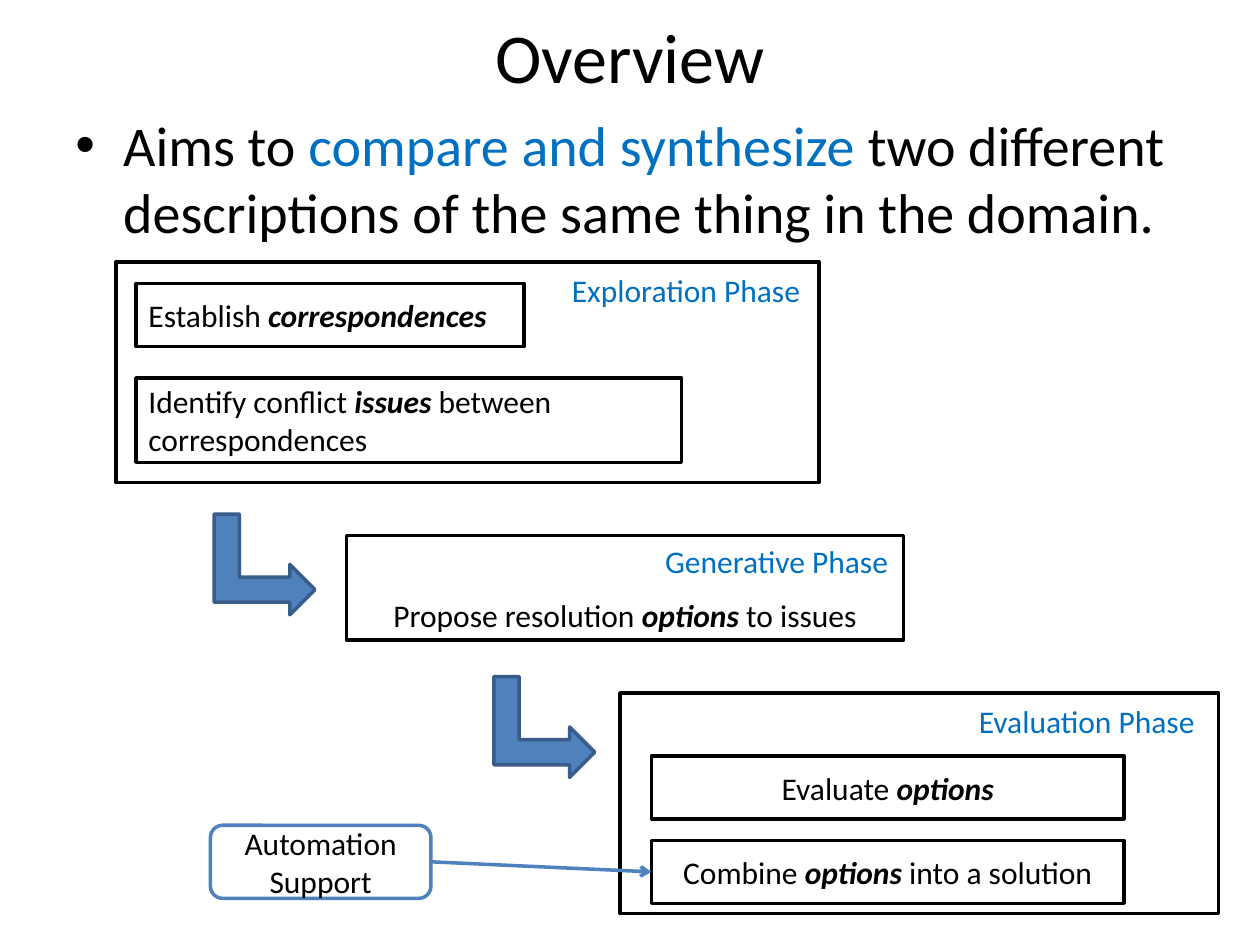
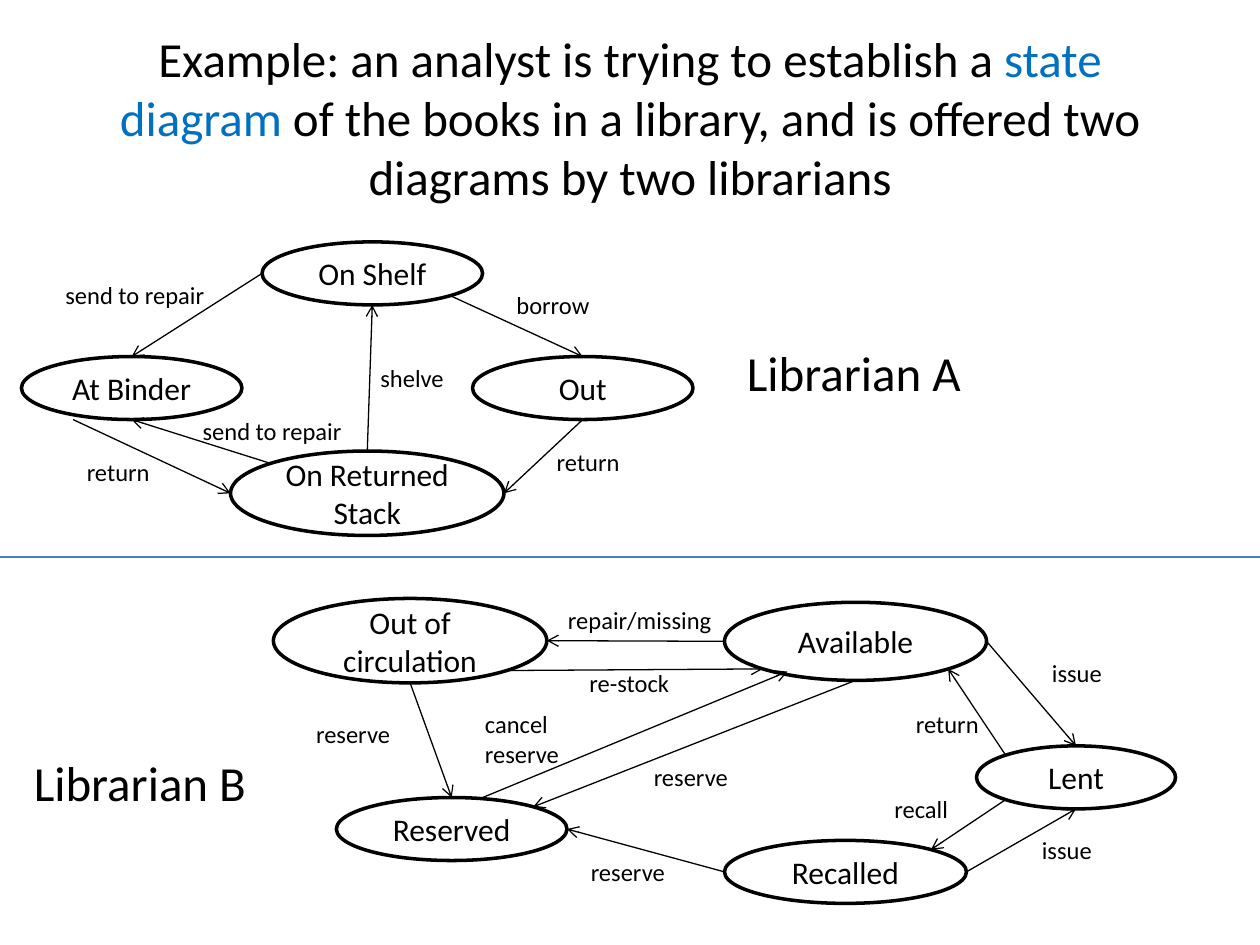
from dataclasses import dataclass
from math import sqrt

from lxml.etree import SubElement
from pptx import Presentation
from pptx.dml.color import RGBColor
from pptx.enum.shapes import MSO_CONNECTOR, MSO_SHAPE
from pptx.enum.text import MSO_ANCHOR, PP_ALIGN
from pptx.oxml.ns import qn
from pptx.util import Inches, Pt


@dataclass(frozen=True)
class Theme:
    font: str = "Calibri"
    ink: RGBColor = RGBColor(0x00, 0x00, 0x00)
    paper: RGBColor = RGBColor(0xFF, 0xFF, 0xFF)
    accent: RGBColor = RGBColor(0x00, 0x70, 0xC0)
    blue: RGBColor = RGBColor(0x4F, 0x81, 0xBD)
    blue_edge: RGBColor = RGBColor(0x38, 0x5D, 0x8A)
    divider: RGBColor = RGBColor(0x4A, 0x7E, 0xBB)
    title: int = 40
    body: int = 32
    heading: int = 28
    node: int = 18
    label: int = 14
    thick: float = 2
    thin: float = 0.75


THEME = Theme()
DIAGONAL = sqrt(2) / 4
SITES = {
    "top": (0, -0.5),
    "bottom": (0, 0.5),
    "left": (-0.5, 0),
    "right": (0.5, 0),
    "upper left": (-DIAGONAL, -DIAGONAL),
    "upper right": (DIAGONAL, -DIAGONAL),
    "lower left": (-DIAGONAL, DIAGONAL),
    "lower right": (DIAGONAL, DIAGONAL),
}


def inches(values):
    return [Inches(value) for value in values]


def write(frame, paragraphs, size, color=THEME.ink, align=PP_ALIGN.LEFT, bullet=False):
    for index, runs in enumerate(paragraphs):
        paragraph = frame.add_paragraph() if index else frame.paragraphs[0]
        paragraph.alignment = align
        if bullet:
            properties = paragraph._p.get_or_add_pPr()
            properties.set("marL", str(Inches(0.38)))
            properties.set("indent", str(-Inches(0.38)))
            SubElement(properties, qn("a:buFont"), typeface="Arial")
            SubElement(properties, qn("a:buChar"), char="•")
        paragraph.font.name = THEME.font
        paragraph.font.size = Pt(size)
        paragraph.font.color.rgb = color
        for text, style in runs:
            run = paragraph.add_run()
            run.text = text
            if style == "accent":
                run.font.color.rgb = THEME.accent
            elif style == "strong":
                run.font.bold = run.font.italic = True


def plain(text):
    return [(text, "")]


def add_text(slide, box, paragraphs, size, wrap=True, anchor=MSO_ANCHOR.TOP, **style):
    frame = slide.shapes.add_textbox(*inches(box)).text_frame
    frame.word_wrap = wrap
    frame.vertical_anchor = anchor
    write(frame, paragraphs, size, **style)


def add_title(slide, box, runs, size):
    add_text(slide, box, [runs], size, anchor=MSO_ANCHOR.MIDDLE, align=PP_ALIGN.CENTER)


def add_label(slide, box, *lines, size=THEME.label, color=THEME.ink):
    add_text(slide, box, [plain(line) for line in lines], size, wrap=False, color=color)


def add_node(slide, kind, box, runs=(), fill=THEME.paper, edge=THEME.ink,
             align=PP_ALIGN.CENTER, anchor=MSO_ANCHOR.MIDDLE):
    node = slide.shapes.add_shape(kind, *inches(box))
    node.shadow.inherit = False
    if fill is None:
        node.fill.background()
    else:
        node.fill.solid()
        node.fill.fore_color.rgb = fill
    node.line.color.rgb = edge
    node.line.width = Pt(THEME.thick)
    if runs:
        node.text_frame.word_wrap = True
        node.text_frame.vertical_anchor = anchor
        write(node.text_frame, [runs], THEME.node, align=align)
    return node


def add_line(slide, start, end, color=THEME.ink, width=THEME.thin, arrow=True):
    line = slide.shapes.add_connector(MSO_CONNECTOR.STRAIGHT, *inches((*start, *end)))
    line.line.color.rgb = color
    line.line.width = Pt(width)
    if arrow:
        SubElement(line.line._get_or_add_ln(), qn("a:tailEnd"), type="arrow")
    SubElement(line._element.spPr, qn("a:effectLst"))
    return line


def add_phase(slide, frame, name, name_box):
    add_node(slide, MSO_SHAPE.RECTANGLE, frame, fill=None)
    add_label(slide, name_box, name, size=THEME.node, color=THEME.accent)


def add_step_arrow(slide, left, top):
    arrow = add_node(slide, MSO_SHAPE.BENT_UP_ARROW, (left, top, 0.8, 0.8),
                     fill=THEME.blue, edge=THEME.blue_edge)
    arrow.rotation = 90


def site_point(states, end):
    state, site = end
    if state not in states:
        return end
    left, top, width, height = states[state]
    across, down = SITES[site]
    return left + width * (0.5 + across), top + height * (0.5 + down)


def add_state_diagram(slide, states, transitions, labels):
    for state, box in states.items():
        add_node(slide, MSO_SHAPE.OVAL, box, plain(state))
    for start, end in transitions:
        add_line(slide, site_point(states, start), site_point(states, end))
    for left, top, width, *lines in labels:
        add_label(slide, (left, top, width, 0.34 if len(lines) == 1 else 0.57), *lines)


def build_overview(slide):
    add_title(slide, (0.5, 0.05, 9, 0.78), plain("Overview"), THEME.title)
    aim = [("Aims to ", ""), ("compare and synthesize", "accent"),
           (" two different descriptions of the same thing in the domain.", "")]
    add_text(slide, (0.5, 0.83, 9, 1.2), [aim], THEME.body, bullet=True)

    add_phase(slide, (0.92, 2.08, 5.58, 1.75), "Exploration Phase", (4.44, 2.1, 2.05, 0.4))
    add_node(slide, MSO_SHAPE.RECTANGLE, (1.08, 2.25, 3.08, 0.5),
             [("Establish ", ""), ("correspondences", "strong")], align=PP_ALIGN.LEFT)
    add_node(slide, MSO_SHAPE.RECTANGLE, (1.08, 3, 4.33, 0.67),
             [("Identify conflict", ""), (" issues", "strong"), (" between correspondences", "")],
             align=PP_ALIGN.LEFT)

    add_node(slide, MSO_SHAPE.RECTANGLE, (2.75, 4.25, 4.42, 0.83),
             [("Propose resolution ", ""), ("options", "strong"), (" to issues", "")],
             anchor=MSO_ANCHOR.BOTTOM)
    add_label(slide, (5.18, 4.25, 1.99, 0.4), "Generative Phase",
              size=THEME.node, color=THEME.accent)

    add_phase(slide, (4.92, 5.5, 4.75, 1.75), "Evaluation Phase", (7.67, 5.52, 1.95, 0.4))
    add_node(slide, MSO_SHAPE.RECTANGLE, (5.17, 6, 3.75, 0.5),
             [("Evaluate ", ""), ("options", "strong")])
    combine = add_node(slide, MSO_SHAPE.RECTANGLE, (5.17, 6.67, 3.75, 0.5),
                       [("Combine ", ""), ("options", "strong"), (" into a solution", "")])

    add_step_arrow(slide, 1.7, 4.08)
    add_step_arrow(slide, 3.92, 5.37)

    automation = add_node(slide, MSO_SHAPE.ROUNDED_RECTANGLE, (1.67, 6.55, 1.75, 0.58),
                          plain("Automation Support"), edge=THEME.blue)
    support = add_line(slide, (3.42, 6.84), (5.17, 6.92), THEME.blue, THEME.thick)
    support.begin_connect(automation, 3)
    support.end_connect(combine, 1)


def build_library_example(slide):
    add_title(slide, (0.5, 0.3, 9, 1.25), [
        ("Example: an analyst is trying to establish a ", ""), ("state diagram", "accent"),
        (" of the books in a library, and is offered two diagrams by two librarians", ""),
    ], THEME.heading)

    states_a = {
        "On Shelf": (2.08, 1.92, 1.75, 0.5),
        "At Binder": (0.17, 2.83, 1.75, 0.5),
        "On Returned Stack": (1.83, 3.58, 2.17, 0.67),
        "Out": (3.75, 2.83, 1.75, 0.5),
    }
    transitions_a = [
        (("On Shelf", "lower right"), ("Out", "top")),
        (("Out", "bottom"), ("On Returned Stack", "right")),
        (("On Returned Stack", "top"), ("On Shelf", "bottom")),
        (("On Shelf", "left"), ("At Binder", "top")),
        (("On Returned Stack", "upper left"), ("At Binder", "bottom")),
        ((0.58, 3.33), ("On Returned Stack", "left")),
    ]
    labels_a = [
        (4, 2.25, 0.85, "borrow"),
        (4.32, 3.5, 0.75, "return"),
        (2.92, 2.83, 0.75, "shelve"),
        (0.42, 2.17, 1.35, "send to repair"),
        (1.51, 3.25, 1.35, "send to repair"),
        (0.59, 3.58, 0.75, "return"),
    ]
    add_state_diagram(slide, states_a, transitions_a, labels_a)

    states_b = {
        "Reserved": (2.67, 6.33, 1.83, 0.5),
        "Available": (5.75, 4.78, 2.08, 0.62),
        "Lent": (7.75, 5.92, 1.58, 0.5),
        "Recalled": (5.75, 6.67, 1.92, 0.5),
        "Out of circulation": (2.17, 4.75, 2.17, 0.67),
    }
    transitions_b = [
        (("Available", "left"), ("Out of circulation", "right")),
        (("Out of circulation", "lower right"), ("Available", "lower left")),
        (("Out of circulation", "bottom"), ("Reserved", "top")),
        (("Recalled", "left"), ("Reserved", "right")),
        (("Available", "bottom"), ("Reserved", "upper right")),
        ((3.83, 6.33), (6.25, 5.33)),
        (("Available", "right"), ("Lent", "top")),
        (("Recalled", "right"), ("Lent", "bottom")),
        (("Lent", "upper left"), ("Available", "lower right")),
        (("Lent", "lower left"), ("Recalled", "upper right")),
    ]
    labels_b = [
        (4.41, 4.75, 1.4, "repair/missing"),
        (4.58, 5.25, 0.9, "re-stock"),
        (2.41, 5.66, 0.85, "reserve"),
        (4.59, 6.75, 0.85, "reserve"),
        (5.09, 6, 0.85, "reserve"),
        (3.75, 5.58, 0.85, "cancel", "reserve"),
        (8.25, 5.17, 0.65, "issue"),
        (8.17, 6.58, 0.65, "issue"),
        (7.17, 5.58, 0.75, "return"),
        (7, 6.25, 0.7, "recall"),
    ]
    add_state_diagram(slide, states_b, transitions_b, labels_b)

    for librarian, left, top in (("Librarian A", 5.83, 2.67), ("Librarian B", 0.17, 5.92)):
        add_text(slide, (left, top, 2.2, 0.57), [plain(librarian)], THEME.heading)
    add_line(slide, (0, 4.42), (10, 4.42), THEME.divider, arrow=False)


def main():
    deck = Presentation()
    deck.slide_width, deck.slide_height = inches((10, 7.5))
    for build in (build_overview, build_library_example):
        build(deck.slides.add_slide(deck.slide_layouts[6]))
    deck.save("out.pptx")


if __name__ == "__main__":
    main()
